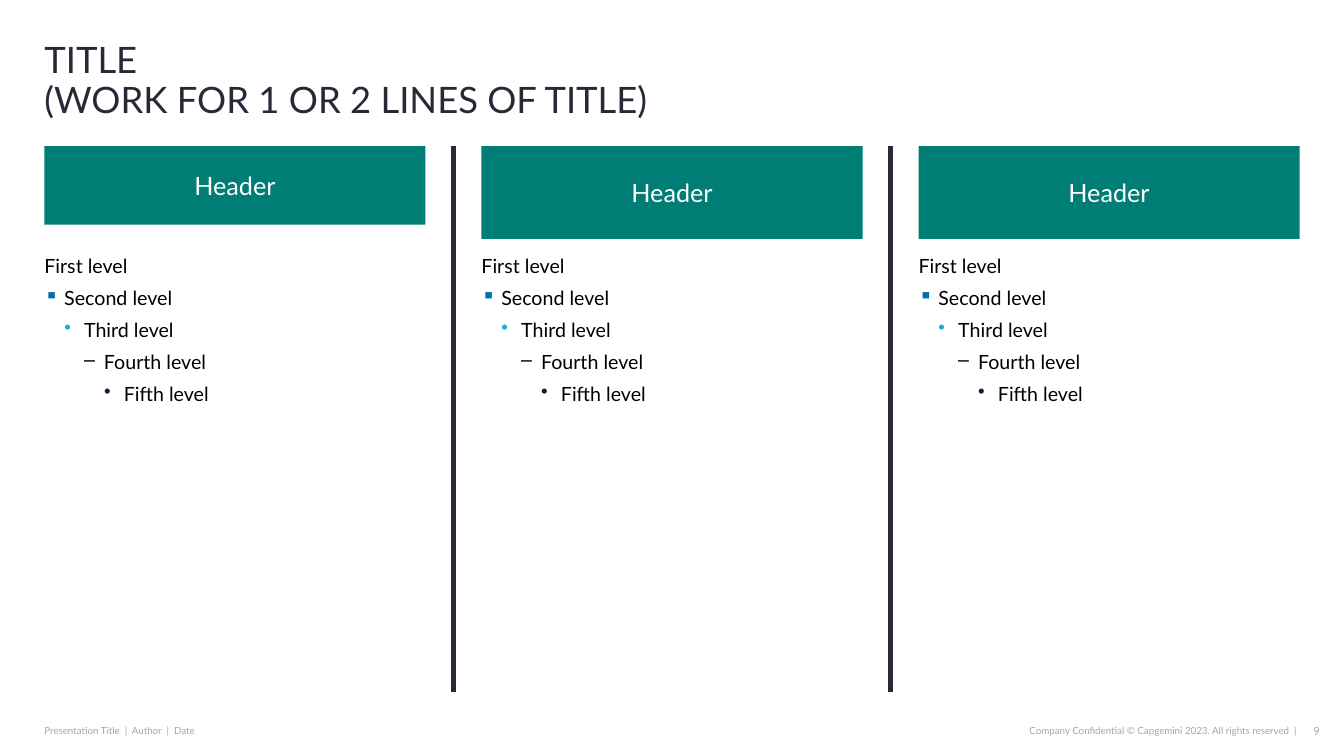
"""Build a three-column slide with a header and a five-level list in each column."""
from lxml import etree
from pptx import Presentation, util as u
from pptx.dml.color import RGBColor
from pptx.enum import shapes, text
from pptx.oxml.ns import qn

WIDE, HIGH = 13.33, 7.5
TITLE = "TITLE\v(WORK FOR 1 OR 2 LINES OF TITLE)"
HEADS = [("Header", 0.78), ("Header", 0.92), ("Header", 0.92)]
LEVELS = [
    ("First level", None, None),
    ("Second level", "▪", "0070AD"),
    ("Third level", "•", "12ABDB"),
    ("Fourth level", "–", "000000"),
    ("Fifth level", "•", "2B0A3D"),
]
FOOT = [
    ("Presentation Title  |  Author  |  Date", 0.44, 3.73, 7, "l"),
    ("Company Confidential © Capgemini 2023. All rights reserved  |", 7.9, 4.96, 7, "r"),
    ("9", 12.84, 0.25, 8, "r"),
]
INK, TEAL, GREY = "272936", "007D74", "A6A6A6"
LEFT, TOP, COL, STEP = 0.44, 1.45, 3.78, 4.335
LIST, BASE, END = 2.52, 6.98, 6.87
INDENT = 0.197
ALIGN = {"l": text.PP_ALIGN.LEFT, "c": text.PP_ALIGN.CENTER, "r": text.PP_ALIGN.RIGHT}
ANCHOR = {"t": text.MSO_ANCHOR.TOP, "m": text.MSO_ANCHOR.MIDDLE, "b": text.MSO_ANCHOR.BOTTOM}


def color(code):
    """Turn a hex string into a colour."""
    return RGBColor.from_string(code)


def bullet(para, level, mark, tint):
    """Give a paragraph its level, hanging indent and coloured bullet."""
    para.level = level
    props = para._p.get_or_add_pPr()
    props.set("marL", str(u.Inches(INDENT * level)))
    props.set("indent", str(-u.Inches(INDENT)))
    hue = etree.SubElement(props, qn("a:buClr"))
    etree.SubElement(hue, qn("a:srgbClr"), val=tint)
    etree.SubElement(props, qn("a:buChar"), char=mark)


def write(slide, lines, box, size=14, ink="000000", align="l", anchor="t",
          fill=None, after=0, lead=None):
    """Place lines of text, as strings or levels, in a box."""
    place = [u.Inches(n) for n in box]
    if fill:
        shape = slide.shapes.add_shape(shapes.MSO_SHAPE.RECTANGLE, *place)
        shape.shadow.inherit = False
        shape.fill.solid()
        shape.fill.fore_color.rgb = color(fill)
        shape.line.fill.background()
    else:
        shape = slide.shapes.add_textbox(*place)
    frame = shape.text_frame
    frame.word_wrap = True
    frame.vertical_anchor = ANCHOR[anchor]
    frame.margin_left = frame.margin_right = frame.margin_top = frame.margin_bottom = 0
    rows = [(lines, None, None)] if isinstance(lines, str) else lines
    for level, (words, mark, tint) in enumerate(rows):
        para = frame.add_paragraph() if level else frame.paragraphs[0]
        para.text = words
        if mark:
            bullet(para, level, mark, tint)
        para.alignment = ALIGN[align]
        para.space_after = u.Pt(after)
        if lead:
            para.line_spacing = lead
        for run in para.runs:
            run.font.name = "Lato"
            run.font.size = u.Pt(size)
            run.font.color.rgb = color(ink)


def rule(slide, x):
    """Draw an upright divider between two columns."""
    ends = [u.Inches(n) for n in (x, TOP, x, END)]
    line = slide.shapes.add_connector(shapes.MSO_CONNECTOR.STRAIGHT, *ends)
    line.line.color.rgb = color(INK)
    line.line.width = u.Pt(3)
    etree.SubElement(line._element.spPr, qn("a:effectLst"))


def main():
    """Compose and save the slide."""
    deck = Presentation()
    deck.slide_width, deck.slide_height = u.Inches(WIDE), u.Inches(HIGH)
    slide = deck.slides.add_slide(deck.slide_layouts[6])
    write(slide, TITLE, (LEFT, 0.42, 11.97, 0.78), size=26, ink=INK, anchor="b", lead=0.9)
    for col, (head, tall) in enumerate(HEADS):
        x = LEFT + col * STEP
        write(slide, head, (x, TOP, COL, tall), size=18, ink="FFFFFF",
              align="c", anchor="m", fill=TEAL, after=6)
        write(slide, LEVELS, (x, LIST, COL, BASE - LIST), after=6)
        if col:
            rule(slide, x - (STEP - COL) / 2)
    for words, x, wide, size, align in FOOT:
        write(slide, words, (x, 7.13, wide, 0.24), size=size, ink=GREY,
              align=align, anchor="m")
    deck.save("out.pptx")


if __name__ == "__main__":
    main()
